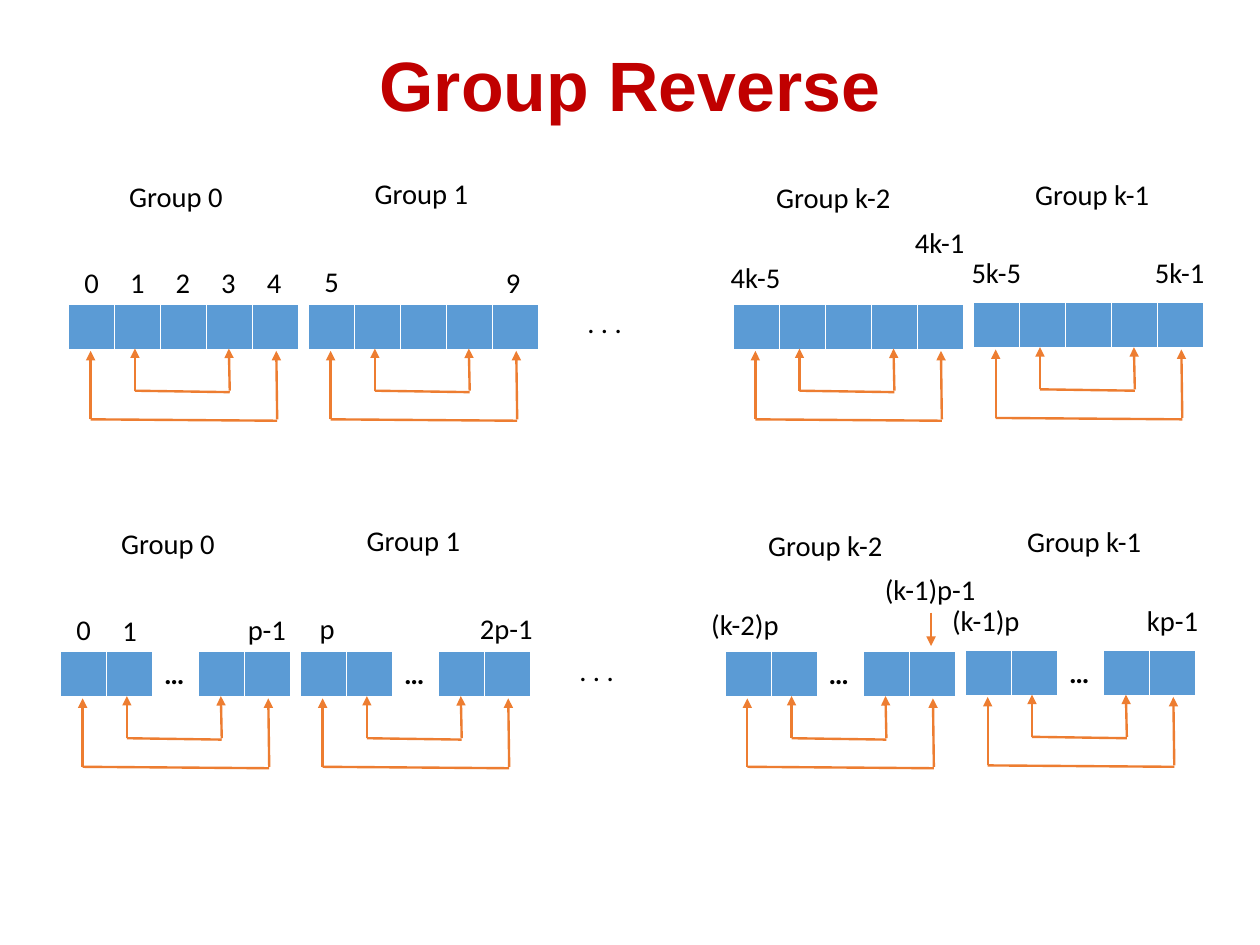
import dataclasses

import lxml.etree
import pptx
import pptx.dml.color
import pptx.enum.shapes
import pptx.enum.text
import pptx.oxml.ns
import pptx.util


@dataclasses.dataclass(frozen=True)
class Theme:
    title_font: str = "Arial"
    body_font: str = "Calibri"
    title_size: float = 44
    body_size: float = 18
    line_width: float = 1.5
    title: str = "C00000"
    text: str = "000000"
    cell: str = "5B9BD5"
    border: str = "FFFFFF"
    arrow: str = "ED7D31"


@dataclasses.dataclass(frozen=True)
class Grid:
    """Columns and rows of one table cell each, counted from a corner in inches."""
    left: float
    top: float
    col: float = 0.403
    row: float = 0.41

    def x(self, cols):
        return pptx.util.Inches(self.left + cols * self.col)

    def y(self, rows):
        return pptx.util.Inches(self.top + rows * self.row)

    def width(self, cols):
        return pptx.util.Inches(cols * self.col)

    def height(self, rows):
        return pptx.util.Inches(rows * self.row)

    def shifted(self, cols, rows):
        return dataclasses.replace(
            self, left=self.left + cols * self.col, top=self.top + rows * self.row)


THEME = Theme()
SLIDE_W, SLIDE_H = pptx.util.Emu(10080625), pptx.util.Emu(7559675)
CELLS = 5
# Column and row where each group starts
GROUP_STARTS = ((0, 0), (5.21, 0), (14.43, 0), (19.65, -0.03))
DOTS_COL = 11.02
# Heading text, column and row within its group
HEADINGS = (("Group 0", 1.07, -2.8), ("Group 1", 1.19, -2.86),
            ("Group k-2", 0.69, -2.76), ("Group k-1", 1.09, -2.81))
# Swapped pairs: left column, right column, arrow tip row, base row
SWAPS = ((0.48, 4.53, 1, 2.46), (1.44, 3.5, 0.95, 1.85))
BASE_SLOPE = 0.03

# Index labels of each group: text, column, row
FIVE_LABELS = (
    [(str(i), i * 0.99 + 0.1, -0.96) for i in range(CELLS)],
    [("5", 0.1, -0.97), ("9", 4.04, -0.95)],
    [("4k-5", -0.3, -1.06), ("4k-1", 3.7, -1.81)],
    [("5k-5", -0.29, -1.13), ("5k-1", 3.69, -1.13)],
)
P_LABELS = (
    [("0", 0.1, -0.97), ("1", 1.1, -0.95), ("p-1", 3.82, -0.97)],
    [("p", 0.17, -0.98), ("2p-1", 3.65, -0.98)],
    [("(k-2)p", -0.55, -1.07), ("(k-1)p-1", 3.22, -1.81)],
    [("(k-1)p", -0.54, -1.13), ("kp-1", 3.69, -1.12)],
)


def rgb(value):
    return pptx.dml.color.RGBColor.from_string(value)


def format_runs(tf, font, size, color, bold=False):
    for p in tf.paragraphs:
        for r in p.runs:
            r.font.name = font
            r.font.size = pptx.util.Pt(size)
            r.font.color.rgb = rgb(color)
            r.font.bold = bold


def add_label(slide, grid, text, col, row, cols):
    sp = slide.shapes.add_textbox(grid.x(col), grid.y(row), grid.width(cols), grid.height(1))
    tf = sp.text_frame
    tf.word_wrap = True
    tf.text = text
    format_runs(tf, THEME.body_font, THEME.body_size, THEME.text)


def add_line(shapes, grid, start, end, arrow=False):
    line = shapes.add_connector(
        pptx.enum.shapes.MSO_CONNECTOR.STRAIGHT,
        grid.x(start[0]), grid.y(start[1]), grid.x(end[0]), grid.y(end[1]))
    line.line.color.rgb = rgb(THEME.arrow)
    line.line.width = pptx.util.Pt(THEME.line_width)
    sp_pr = line._element.spPr
    if arrow:
        tail = lxml.etree.SubElement(
            sp_pr.find(pptx.oxml.ns.qn("a:ln")), pptx.oxml.ns.qn("a:tailEnd"))
        tail.set("type", "triangle")
    lxml.etree.SubElement(sp_pr, pptx.oxml.ns.qn("a:effectLst"))


def set_borders(cell):
    tc_pr = cell._tc.get_or_add_tcPr()
    for side, width in (("L", 1), ("R", 1), ("T", 1), ("B", 3)):
        ln = lxml.etree.SubElement(tc_pr, pptx.oxml.ns.qn("a:ln" + side))
        ln.set("w", str(pptx.util.Pt(width)))
        fill = lxml.etree.SubElement(ln, pptx.oxml.ns.qn("a:solidFill"))
        lxml.etree.SubElement(fill, pptx.oxml.ns.qn("a:srgbClr")).set("val", THEME.border)


def add_cells(slide, grid, gap):
    """Draw one group's cells; with a gap, the middle cell is an ellipsis."""
    table = slide.shapes.add_table(
        1, CELLS, grid.x(0), grid.y(0), grid.width(CELLS), grid.height(1)).table
    for i, cell in enumerate(table.iter_cells()):
        set_borders(cell)
        if gap and i == CELLS // 2:
            cell.fill.background()
            cell.text = "…"
            format_runs(cell.text_frame, THEME.body_font, THEME.body_size, THEME.text, True)
        else:
            cell.fill.solid()
            cell.fill.fore_color.rgb = rgb(THEME.cell)


def add_swaps(slide, grid):
    shapes = slide.shapes.add_group_shape().shapes
    for left, right, tip, base in SWAPS:
        add_line(shapes, grid, (left, base), (left, tip), arrow=True)
        add_line(shapes, grid, (left, base), (right, base + BASE_SLOPE))
        add_line(shapes, grid, (right, base), (right - 0.02, tip), arrow=True)


def add_array(slide, grid, group_labels, gap):
    """Draw a row of groups with headings, index labels and swap arrows."""
    for start, heading, labels in zip(GROUP_STARTS, HEADINGS, group_labels):
        group = grid.shifted(*start)
        add_cells(slide, group, gap)
        add_swaps(slide, group)
        add_label(slide, group, *heading, cols=3.12)
        for text, col, row in labels:
            cols = 0.97 if len(text) == 1 else 1.8 if len(text) <= 4 else 2.6
            add_label(slide, group, text, col, row, cols)
    add_label(slide, grid, ". . .", DOTS_COL, -0.1, cols=3.12)


def add_title(slide, text):
    title = slide.shapes.title
    title.left, title.top = pptx.util.Inches(0.99), pptx.util.Inches(0.25)
    title.width, title.height = pptx.util.Inches(9.05), pptx.util.Inches(0.97)
    tf = title.text_frame
    tf.text = text
    tf.margin_left = tf.margin_right = tf.margin_top = tf.margin_bottom = 0
    tf.vertical_anchor = pptx.enum.text.MSO_ANCHOR.MIDDLE
    tf.paragraphs[0].alignment = pptx.enum.text.PP_ALIGN.CENTER
    format_runs(tf, THEME.title_font, THEME.title_size, THEME.title, True)


def main():
    prs = pptx.Presentation()
    prs.slide_width, prs.slide_height = SLIDE_W, SLIDE_H
    slide = prs.slides.add_slide(prs.slide_layouts[5])
    add_title(slide, "Group Reverse")
    add_array(slide, Grid(0.6, 2.66), FIVE_LABELS, gap=False)
    p_grid = Grid(0.53, 5.7)
    add_array(slide, p_grid, P_LABELS, gap=True)
    pointed_group = p_grid.shifted(*GROUP_STARTS[2])
    add_line(slide.shapes, pointed_group, (4.47, -0.83), (4.47, -0.12), arrow=True)
    prs.save("out.pptx")


if __name__ == "__main__":
    main()
